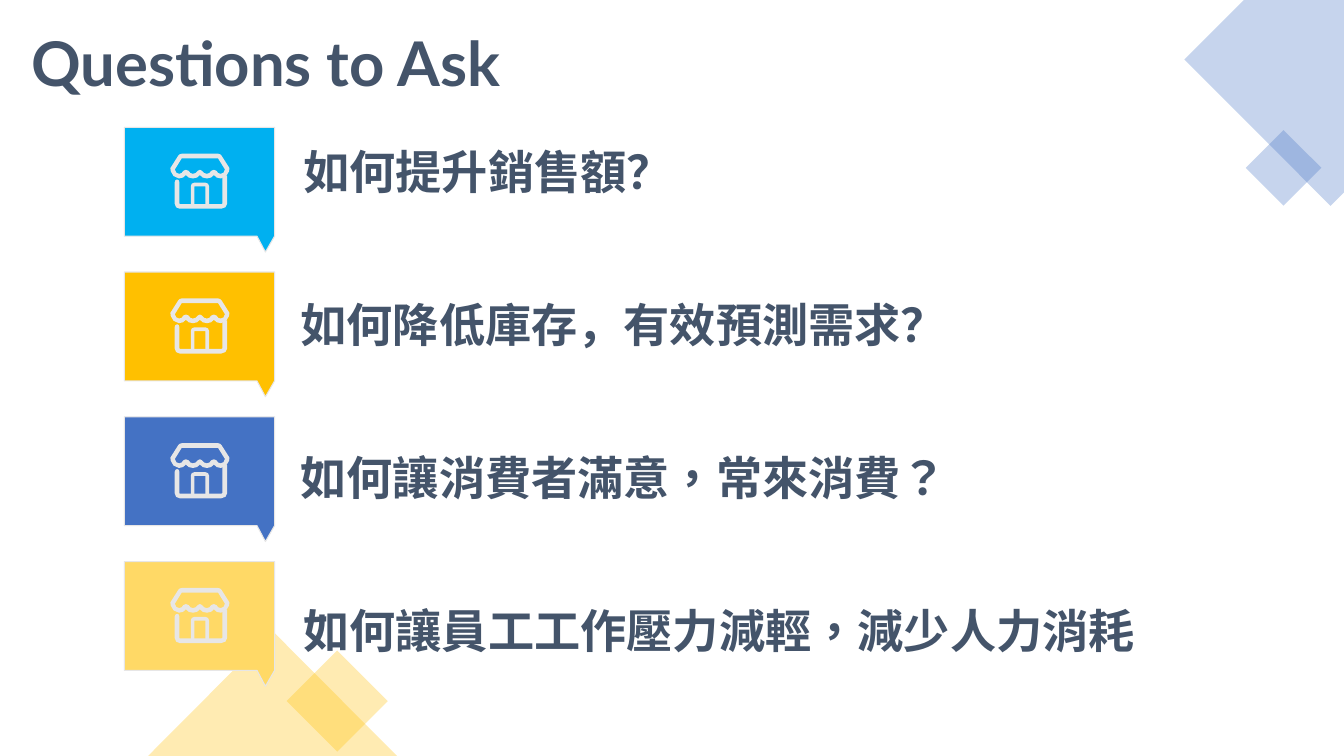
from dataclasses import dataclass

from lxml.etree import SubElement
from pptx import Presentation
from pptx.dml.color import RGBColor
from pptx.enum.lang import MSO_LANGUAGE_ID as Language
from pptx.enum.shapes import MSO_SHAPE as Preset
from pptx.enum.text import MSO_ANCHOR as Anchor
from pptx.enum.text import MSO_AUTO_SIZE as AutoSize
from pptx.enum.text import PP_ALIGN as Align
from pptx.oxml.ns import qn
from pptx.shapes.base import BaseShape
from pptx.slide import Slide
from pptx.util import Pt

Point = tuple[float, float]
Contour = list[Point]

SLATE, PALE = "44546A", "E7E6E6"
BLUE, AMBER = "4472C4", "FFC000"
CJK_FONT = "Noto Sans CJK TC"
CALLOUT_LEFT, CALLOUT_TOP, CALLOUT_PITCH = 88.8, 90.9, 103.4
QUESTION_TOP, QUESTION_PITCH = 103, 109.4


@dataclass(frozen=True)
class Question:
    text: str
    color: str
    left: float
    width: float
    language: Language


@dataclass(frozen=True)
class Decoration:
    preset: Preset
    color: str
    left: float
    top: float
    width: float
    height: float
    rotation: float


QUESTIONS = [
    Question("如何提升銷售額？", "00B0F0", 209.5, 752.4, Language.SIMPLIFIED_CHINESE),
    Question("如何降低庫存，有效預測需求？", AMBER, 207.4, 583.9, Language.SIMPLIFIED_CHINESE),
    Question("如何讓消費者滿意，常來消費？", BLUE, 207.4, 614.2, Language.TRADITIONAL_CHINESE),
    Question("如何讓員工工作壓力減輕，減少人力消耗", "FFD966", 209.5, 614.2, Language.TRADITIONAL_CHINESE),
]
DECORATIONS = [
    Decoration(Preset.RECTANGLE, BLUE, 897.8, 100.8, 38.2, 38.2, 315),
    Decoration(Preset.RECTANGLE, AMBER, 215.3, 475.2, 51.1, 51.1, 45),
    Decoration(Preset.ISOSCELES_TRIANGLE, AMBER, 105.8, 450.7, 177.8, 89.3, 0),
]


def mirrored(half: Contour, axis: float = 54) -> Contour:
    return half + [(2 * axis - x, y) for x, y in reversed(half)]


CORNER = [(960, 0), (888.6, 0), (846, 42.6), (950.4, 147), (960, 137.4)]
CALLOUT = [(107.3, 0), (107.3, 77.8), (100.8, 89.1), (94.8, 77.8), (0, 77.8), (0, 0)]
DOOR = [
    mirrored([(47.5, 57.6), (47.5, 42), (48.2, 40.3), (49.9, 39.6)]),
    mirrored([(50.1, 55.4), (50.1, 42.2)]),
]
WALLS = [[
    (69.3, 58.2), (39.5, 58.2), (37, 57.2), (36, 54.7), (36, 39.2), (36.5, 37.9),
    (37.7, 37.3), (38.9, 37.9), (39.3, 39.2), (39.3, 54.5), (39.7, 54.9), (69.3, 54.9),
    (70.1, 54.5), (70.1, 34.6), (73.4, 34.6), (73.4, 54.7), (72.3, 57.1),
]]
AWNING = [
    mirrored([
        (54, 34.2), (51.9, 36), (49, 36.6), (46.1, 36), (44, 34.2), (41.9, 36), (39, 36.6),
        (35.2, 34.9), (33.2, 31.5), (32.9, 29.2), (38.6, 20.2), (39.6, 19.3), (41, 18.9),
    ]),
    mirrored([
        (54, 30.4), (52.4, 31.2), (51, 32.7), (49, 33.3), (47.2, 32.7), (46, 31.2), (44, 30.4),
        (42.1, 31.2), (41, 32.7), (39.2, 33.3), (37.2, 32.5), (36.1, 30.2), (41, 22.3),
    ]),
]


def rgb(color: str) -> RGBColor:
    return RGBColor.from_string(color)


def paint(shape: BaseShape, color: str, alpha: int = 100, outline: str = "") -> None:
    shape.shadow.inherit = False
    shape.fill.solid()
    shape.fill.fore_color.rgb = rgb(color)
    if alpha < 100:
        tint = shape.element.spPr.find(qn("a:solidFill"))[0]
        SubElement(tint, qn("a:alpha"), val=str(alpha * 1000))
    if outline:
        shape.line.color.rgb = rgb(outline)
        shape.line.width = Pt(0.75)
    else:
        shape.line.fill.background()


def draw_outline(page: Slide, contours: list[Contour], left: float = 0, top: float = 0) -> BaseShape:
    placed = [[(Pt(left + x), Pt(top + y)) for x, y in contour] for contour in contours]
    builder = page.shapes.build_freeform(*placed[0][0])
    for number, contour in enumerate(placed):
        if number:
            builder.move_to(*contour[0])
        builder.add_line_segments(contour[1:], close=True)
    return builder.convert_to_shape()


def draw_decoration(page: Slide, item: Decoration) -> None:
    shape = page.shapes.add_shape(
        item.preset, Pt(item.left), Pt(item.top), Pt(item.width), Pt(item.height)
    )
    shape.rotation = item.rotation
    paint(shape, item.color, alpha=30)


def write(box: BaseShape, text: str, font: str, size: float, language: Language, spacing: float) -> None:
    frame = box.text_frame
    frame.word_wrap = True
    frame.vertical_anchor = Anchor.TOP
    frame.auto_size = AutoSize.SHAPE_TO_FIT_TEXT
    para = frame.paragraphs[0]
    para.alignment = Align.LEFT
    para.line_spacing = spacing
    para.space_before = Pt(0)
    properties = para._p.get_or_add_pPr()
    properties.set("marL", "0")
    properties.set("indent", "0")
    SubElement(properties, qn("a:buNone"))
    span = para.add_run()
    span.text = text
    span.font.name = font
    span.font.size = Pt(size)
    span.font.bold = True
    span.font.color.rgb = rgb(SLATE)
    span.font.language_id = language
    SubElement(span.font._element, qn("a:ea"), typeface=font)


def place(box: BaseShape, left: float, top: float, width: float, height: float) -> None:
    box.left, box.top, box.width, box.height = Pt(left), Pt(top), Pt(width), Pt(height)


def draw_callout(page: Slide, color: str, top: float) -> None:
    paint(draw_outline(page, [CALLOUT], CALLOUT_LEFT, top), color, outline=PALE)
    for part in (DOOR, WALLS, AWNING):
        paint(draw_outline(page, part, CALLOUT_LEFT, top), PALE)


def main() -> None:
    deck = Presentation()
    deck.slide_width, deck.slide_height = Pt(960), Pt(540)
    page = deck.slides.add_slide(deck.slide_layouts.get_by_name("Comparison"))
    title, *bodies = list(page.placeholders)

    paint(draw_outline(page, [CORNER]), BLUE, alpha=30)
    for item in DECORATIONS:
        draw_decoration(page, item)
    for box in (title, *bodies):
        page.shapes.element.append(box.element)

    place(title, 15.1, 14.4, 403.9, 60.5)
    write(title, "Questions to Ask", "Lato", 44, Language.ENGLISH_US, 1.0)
    for row, (box, question) in enumerate(zip(bodies, QUESTIONS)):
        place(box, question.left, QUESTION_TOP + row * QUESTION_PITCH, question.width, 47.5)
        write(box, question.text, CJK_FONT, 33, question.language, 0.9)
        draw_callout(page, question.color, CALLOUT_TOP + row * CALLOUT_PITCH)
    deck.save("out.pptx")


if __name__ == "__main__":
    main()
